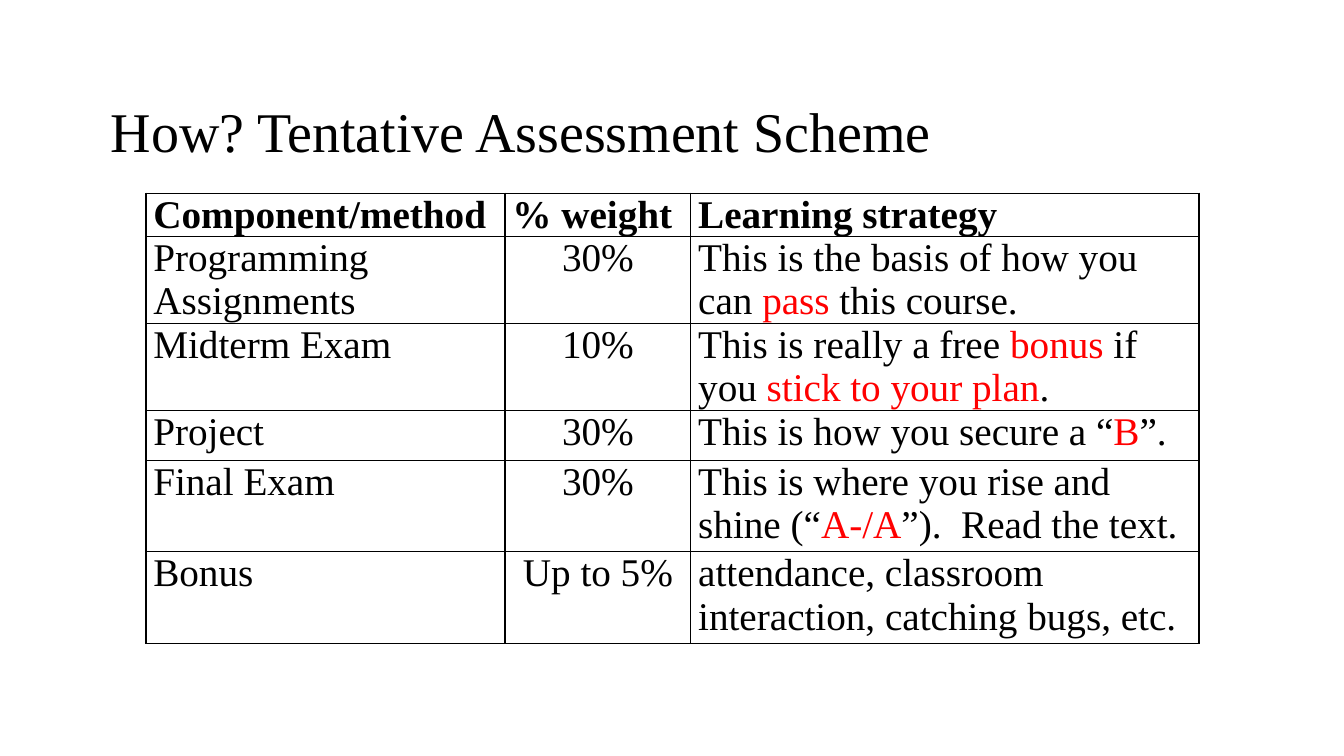
from lxml import etree
from pptx import Presentation
from pptx.dml.color import RGBColor
from pptx.enum.text import MSO_ANCHOR, PP_ALIGN
from pptx.oxml.ns import qn
from pptx.util import Pt

PX = 9525
FONT = "Times New Roman"
BLACK = RGBColor(0x00, 0x00, 0x00)
RED = RGBColor(0xFF, 0x00, 0x00)
LEFT, CENTER, JUSTIFY = PP_ALIGN.LEFT, PP_ALIGN.CENTER, PP_ALIGN.JUSTIFY
MIDDLE = MSO_ANCHOR.MIDDLE

TITLE = "How? Tentative Assessment Scheme"
COL_WIDTHS = [342, 177, 484]
ROW_HEIGHTS = [32, 40, 39, 48, 87, 87]
ROWS = [
    ("Component/method", "% weight", "Learning strategy"),
    ("Programming\nAssignments", "30%",
     "This is the basis of how you can *pass* this course."),
    ("Midterm Exam", "10%",
     "This is really a free *bonus* if you *stick to your plan*."),
    ("Project", "30%", "This is how you secure a “*B*”."),
    ("Final Exam", "30%",
     "This is where you rise and shine (“*A-/A*”).  Read the text."),
    ("Bonus", "Up to 5%",
     "attendance, classroom interaction, catching bugs, etc."),
]


def add_text(p, text, size, bold=False):
    """Add runs to a paragraph, with the parts between asterisks in red."""
    for i, part in enumerate(text.split("*")):
        r = p.add_run()
        r.text = part
        r.font.name = FONT
        r.font.size = Pt(size)
        r.font.bold = bold
        r.font.color.rgb = RED if i % 2 else BLACK


def add_borders(cell):
    """Draw a thin black line on all four sides of a cell."""
    tc_pr = cell._tc.get_or_add_tcPr()
    for i, side in enumerate(("a:lnL", "a:lnR", "a:lnT", "a:lnB")):
        ln = etree.Element(qn(side), w=str(Pt(1)))
        fill = etree.SubElement(ln, qn("a:solidFill"))
        etree.SubElement(fill, qn("a:srgbClr"), val=str(BLACK))
        tc_pr.insert(i, ln)


def fill_cell(cell, text, align, bold):
    """Format one table cell and write its paragraphs."""
    cell.margin_left = cell.margin_right = 7 * PX
    cell.margin_top = cell.margin_bottom = 0
    cell.fill.background()
    add_borders(cell)
    tf = cell.text_frame
    for i, line in enumerate(text.split("\n")):
        p = tf.add_paragraph() if i else tf.paragraphs[0]
        p.alignment = align
        add_text(p, line, 28, bold)


def add_title(s, x, y, w, h):
    """Place the title placeholder in the given box."""
    sp = s.shapes.title
    sp.left, sp.top, sp.width, sp.height = (v * PX for v in (x, y, w, h))
    tf = sp.text_frame
    tf.vertical_anchor = MIDDLE
    p = tf.paragraphs[0]
    p.alignment = LEFT
    add_text(p, TITLE, 40)


def add_scheme_table(s, x, y):
    """Place the assessment table with its top left corner at x, y."""
    w, h = sum(COL_WIDTHS), sum(ROW_HEIGHTS)
    table = s.shapes.add_table(len(ROWS), len(COL_WIDTHS),
                               x * PX, y * PX, w * PX, h * PX).table
    table.first_row = table.horz_banding = False
    for col, width in zip(table.columns, COL_WIDTHS):
        col.width = width * PX
    for row, height in zip(table.rows, ROW_HEIGHTS):
        row.height = height * PX
    for i, texts in enumerate(ROWS):
        aligns = (LEFT, CENTER, LEFT) if i else (JUSTIFY,) * 3
        for j, (text, align) in enumerate(zip(texts, aligns)):
            fill_cell(table.cell(i, j), text, align, i == 0)


def main():
    """Build the slide and save it."""
    prs = Presentation()
    prs.slide_width, prs.slide_height = 1280 * PX, 720 * PX
    s = prs.slides.add_slide(prs.slide_layouts[5])
    add_title(s, 96, 64, 1088, 120)
    add_scheme_table(s, 139, 184)
    prs.save("out.pptx")


if __name__ == "__main__":
    main()
